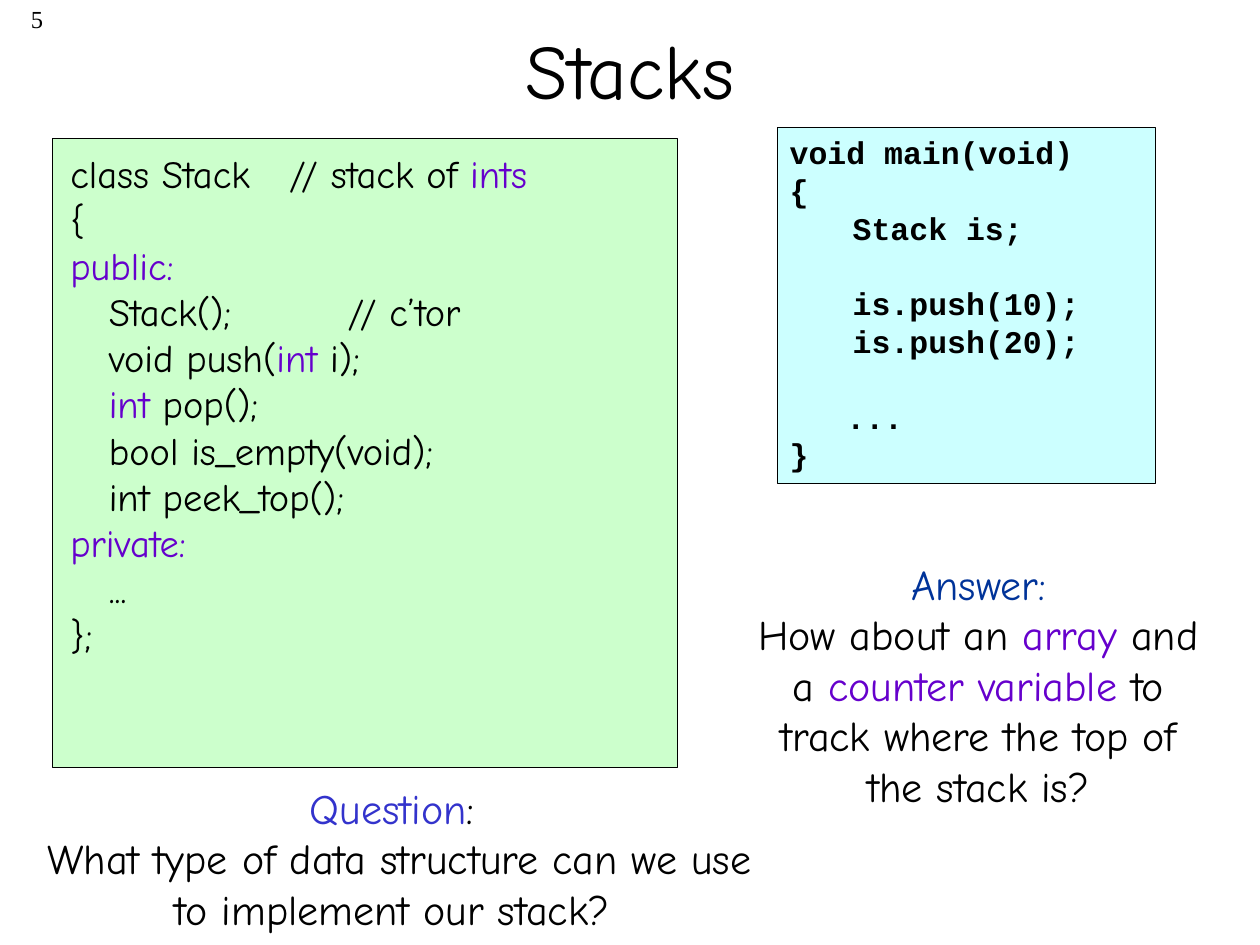
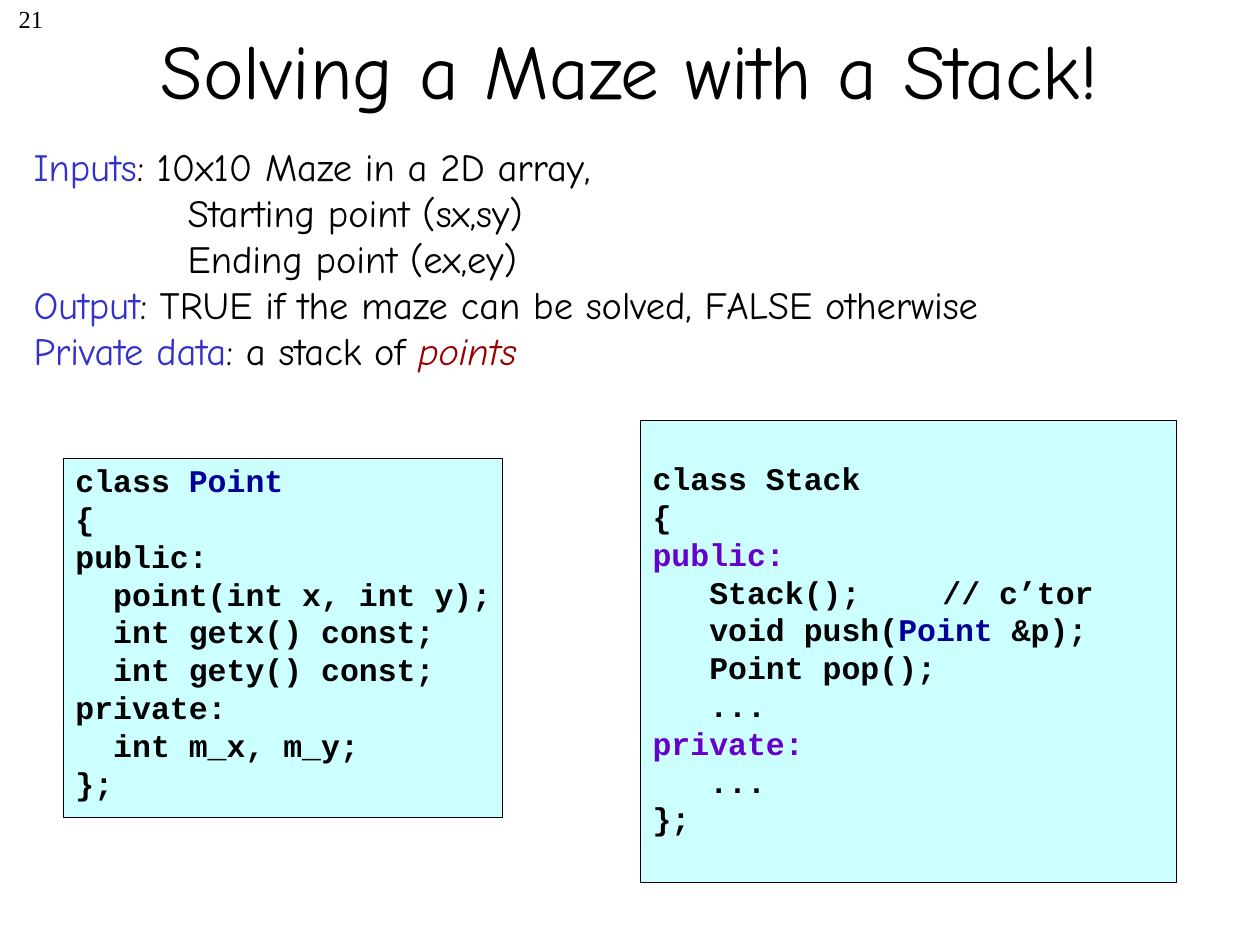
"""Build two lecture slides about stacks and a maze solver."""
from dataclasses import dataclass

from lxml.etree import SubElement
from pptx import Presentation
from pptx.dml.color import RGBColor
from pptx.enum.shapes import MSO_SHAPE as Shape
from pptx.enum.text import MSO_ANCHOR as Anchor, PP_ALIGN as Align
from pptx.oxml.ns import qn
from pptx.util import Pt

BLACK = RGBColor(0x00, 0x00, 0x00)
BLUE = RGBColor(0x33, 0x33, 0xCC)
ANSWER_BLUE = RGBColor(0x00, 0x33, 0x99)
NAVY = RGBColor(0x00, 0x00, 0x99)
PURPLE = RGBColor(0x66, 0x00, 0xCC)
RED = RGBColor(0x99, 0x00, 0x00)
GREEN_PANEL = RGBColor(0xCC, 0xFF, 0xCC)
CYAN_PANEL = RGBColor(0xCC, 0xFF, 0xFF)

HAND = "Comic Neue"
MONO = "Courier New"
SERIF = "Times New Roman"
CODE = {"font": MONO, "size": 18, "bold": True}
CODE_CHAR = 10.8
CODE_LINE = 21.5


@dataclass
class Line:
    """One paragraph: spans are strings or (text, colour[, italic])."""
    spans: tuple
    indent: float = 0
    tabs: tuple = ()
    gap: float = 0


def line(*spans, **layout):
    """Make a Line from its spans."""
    return Line(spans, **layout)


def format_paragraph(para, content, align):
    """Set alignment, space before, first-line indent and tab stops."""
    para.alignment = align
    if content.gap:
        para.space_before = Pt(content.gap)
    properties = para._p.get_or_add_pPr()
    if content.indent:
        properties.set("marL", "0")
        properties.set("indent", str(Pt(content.indent)))
    if content.tabs:
        stops = SubElement(properties, qn("a:tabLst"))
        for stop in content.tabs:
            SubElement(stops, qn("a:tab"), pos=str(Pt(stop)), algn="l")


def add_span(para, text, colour=BLACK, italic=False, *, font, size, bold):
    """Add text in one format, with a line break at each newline."""
    for index, piece in enumerate(text.split("\n")):
        if index:
            para.add_line_break()
        run = para.add_run()
        run.text = piece
        run.font.name = font
        run.font.size = Pt(size)
        run.font.bold = bold
        run.font.italic = italic
        run.font.color.rgb = colour


def add_text(page, lines, left, top, width, height, *, font=HAND, size=22,
             bold=False, align=Align.LEFT, anchor=Anchor.TOP, insets=None):
    """Add a text box holding the given lines."""
    box = page.shapes.add_textbox(Pt(left), Pt(top), Pt(width), Pt(height))
    frame = box.text_frame
    frame.word_wrap = True
    frame.vertical_anchor = anchor
    if insets:
        (frame.margin_left, frame.margin_top,
         frame.margin_right, frame.margin_bottom) = map(Pt, insets)
    for index, content in enumerate(lines):
        para = frame.add_paragraph() if index else frame.paragraphs[0]
        format_paragraph(para, content, align)
        for span in content.spans:
            parts = (span,) if isinstance(span, str) else span
            add_span(para, *parts, font=font, size=size, bold=bold)


def add_panel(page, left, top, width, height, fill):
    """Add a filled rectangle with a hairline border."""
    panel = page.shapes.add_shape(
        Shape.RECTANGLE, Pt(left), Pt(top), Pt(width), Pt(height))
    panel.shadow.inherit = False
    panel.fill.solid()
    panel.fill.fore_color.rgb = fill
    panel.line.color.rgb = BLACK
    panel.line.width = Pt(0.25)


def add_page(deck, number, title):
    """Add a blank slide with its page number and title."""
    page = deck.slides.add_slide(deck.slide_layouts[6])
    add_text(page, [line(number)], 0, -1.5, 31.7, 36,
             font=SERIF, size=14, align=Align.RIGHT)
    add_text(page, [line(title)], 54, 0, 612, 78.5,
             size=44, align=Align.CENTER, anchor=Anchor.MIDDLE)
    return page


def build_stack_page(deck):
    """Show the stack class, its use, and a question with its answer."""
    page = add_page(deck, "5", "Stacks")
    add_panel(page, 30, 79.2, 357.3, 359, GREEN_PANEL)
    step = 22
    add_text(page, [
        line("class Stack\t// stack of ", ("ints", PURPLE), tabs=(125,)),
        line("{"),
        line(("public:", PURPLE)),
        line("\tStack();\t// c’tor", tabs=(step, 158.5)),
        line("void push(", ("int", PURPLE), " i);", indent=step),
        line(("int", PURPLE), " pop();", indent=step),
        line("bool is_empty(void);", indent=step),
        line("int peek_top();", indent=step),
        line(("private:", PURPLE)),
        line("...", indent=step),
        line("};"),
    ], 33.1, 81.9, 354.2, 297.4)
    add_panel(page, 444.2, 72.7, 216, 203.3, CYAN_PANEL)
    add_text(page, [
        line("void main(void)"),
        line("{"),
        line("Stack is;", indent=36),
        line("is.push(10);", indent=36, gap=CODE_LINE),
        line("is.push(20);", indent=36),
        line("...", indent=3 * CODE_CHAR, gap=CODE_LINE),
        line("}"),
    ], 444.2, 72.7, 246, 223, **CODE)
    add_text(page, [
        line(("Question", BLUE), ": \nWhat type of data structure can we use "
             "to implement our stack? "),
    ], 18.2, 447.1, 455.8, 86.4, size=24, align=Align.CENTER,
        insets=(0, 0, 36, 0))
    add_text(page, [
        line(("Answer:", ANSWER_BLUE)),
        line("How about an ", ("array ", PURPLE), "and a ",
             ("counter variable", PURPLE),
             " to track where the top of the stack is?"),
    ], 424.8, 315.6, 268.6, 151.2, size=24, align=Align.CENTER)


def build_maze_page(deck):
    """Show the maze problem with its point and stack classes."""
    page = add_page(deck, "21", "Solving a Maze with a Stack!")
    add_text(page, [
        line(("Inputs", BLUE), ": 10x10 Maze in a 2D array,"),
        line("Starting point (sx,sy)", indent=88),
        line("Ending point (ex,ey)", indent=88),
        line(("Output", BLUE),
             ": TRUE if the maze can be solved, FALSE otherwise"),
        line(("Private data", BLUE), ": a stack of ", ("points", RED, True)),
    ], 12.2, 78, 700, 139)
    add_panel(page, 36, 262.1, 251.3, 205.2, CYAN_PANEL)
    step = 2 * CODE_CHAR
    add_text(page, [
        line("class ", ("Point", NAVY)),
        line("{"),
        line("public:"),
        line("point(int x, int y);", indent=step),
        line("int getx() const;", indent=step),
        line("int gety() const;", indent=step),
        line("private:"),
        line("int m_x, m_y;", indent=step),
        line("};"),
    ], 36, 260, 300, 201.6, **CODE)
    add_panel(page, 365.8, 240, 306.3, 264, CYAN_PANEL)
    step = 3 * CODE_CHAR
    add_text(page, [
        line("class Stack"),
        line("{"),
        line(("public:", PURPLE)),
        line("\tStack();\t// c’tor", tabs=(step, 165.6)),
        line("void push(", ("Point", NAVY), " &p);", indent=step),
        line("Point pop();", indent=step),
        line("...", indent=step),
        line(("private:", PURPLE)),
        line("...", indent=step),
        line("};"),
    ], 365.8, 258.8, 300, 223, **CODE)


def main():
    """Create and save the deck."""
    deck = Presentation()
    deck.slide_width, deck.slide_height = Pt(720), Pt(540)
    build_stack_page(deck)
    build_maze_page(deck)
    deck.save("out.pptx")


if __name__ == "__main__":
    main()
